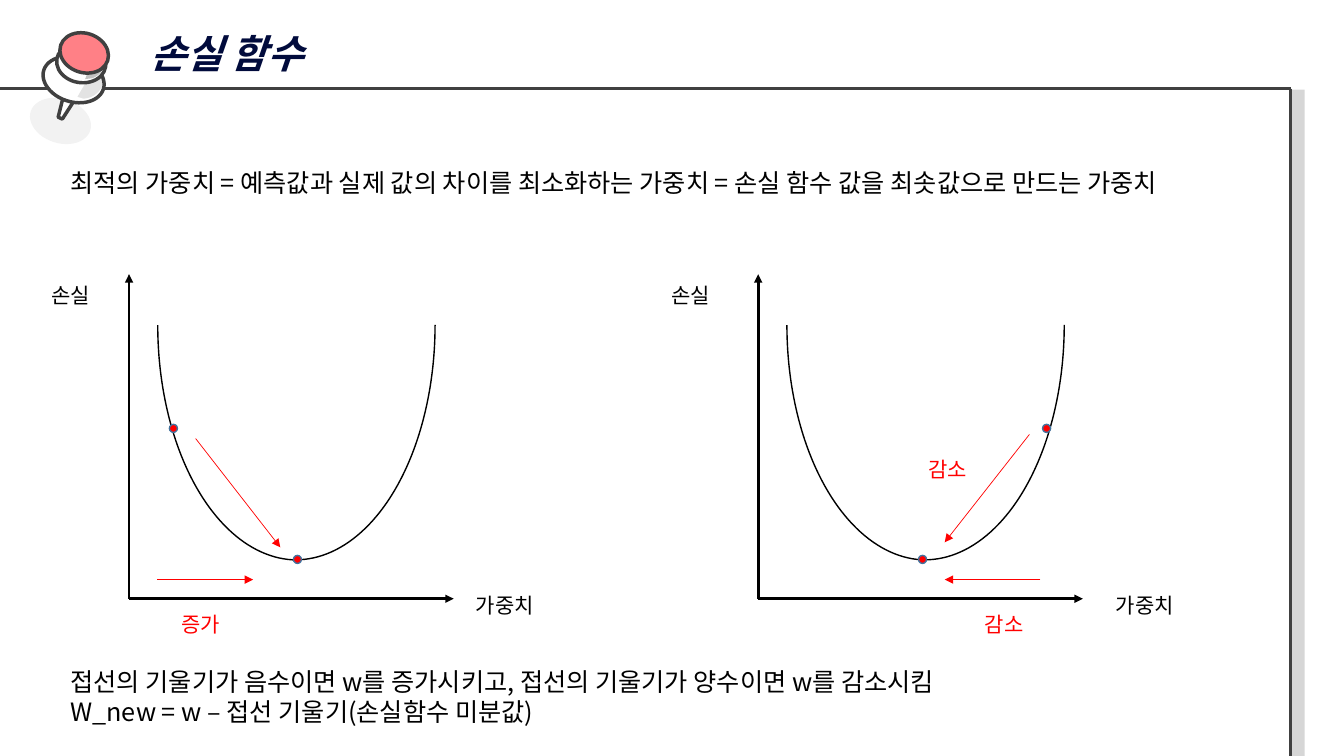
from collections import namedtuple
from lxml.etree import SubElement
from pptx import Presentation
from pptx.dml.color import RGBColor
from pptx.enum.shapes import MSO_CONNECTOR, MSO_SHAPE
from pptx.enum.text import MSO_AUTO_SIZE
from pptx.oxml.ns import qn
from pptx.util import Inches, Pt

Box = namedtuple("Box", "x y w h")
CELL = Inches(0.1)
FONT = "Noto Sans CJK KR"
COLORS = {"ink": "000000", "title": "010B3C", "rule": "404040", "paper": "FFFFFF",
          "pin": "FF8086", "red": "FF0000", "rim": "43739E"}


def rgb(name):
    """Look up a colour by name."""
    return RGBColor.from_string(COLORS[name])


def grid(box, x, y):
    """Turn cells counted from a box corner into slide lengths."""
    return round((box.x + x) * CELL), round((box.y + y) * CELL)


def paint(sp, fill=None, line=None, width=1, alpha=None):
    """Set fill, transparency and outline of a shape."""
    sp.shadow.inherit = False
    if fill:
        sp.fill.solid()
        sp.fill.fore_color.rgb = rgb(fill)
        if alpha:
            clr = next(sp._element.spPr.iter(qn("a:srgbClr")))
            SubElement(clr, qn("a:alpha")).set("val", str(alpha * 1000))
    else:
        sp.fill.background()
    if line:
        sp.line.color.rgb = rgb(line)
        sp.line.width = Pt(width)
    else:
        sp.line.fill.background()


def add_preset(shapes, kind, box, part, rotation=0, **style):
    """Add a preset shape at a part of a box."""
    x, y, w, h = part
    sp = shapes.add_shape(kind, *grid(box, x, y), round(w * CELL), round(h * CELL))
    sp.rotation = rotation
    paint(sp, **style)
    return sp


def add_line(shapes, box, start, end, color, width, arrow=False):
    """Add a straight line, with an arrowhead at its end if asked."""
    sp = shapes.add_connector(MSO_CONNECTOR.STRAIGHT, *grid(box, *start), *grid(box, *end))
    sp.line.color.rgb = rgb(color)
    sp.line.width = Pt(width)
    spPr = sp._element.spPr
    if arrow:
        SubElement(spPr.get_or_add_ln(), qn("a:tailEnd")).set("type", "triangle")
    SubElement(spPr, qn("a:effectLst"))


def add_text(shapes, box, part, text, size=15, color="ink", bold=None, spacing=None):
    """Add a text box; bold text is also italic."""
    x, y, w, h = part
    sp = shapes.add_textbox(*grid(box, x, y), round(w * CELL), round(h * CELL))
    tf = sp.text_frame
    tf.word_wrap = True
    tf.auto_size = MSO_AUTO_SIZE.SHAPE_TO_FIT_TEXT
    tf.text = text
    for p in tf.paragraphs:
        p.line_spacing = spacing
        for r in p.runs:
            r.font.size, r.font.name = Pt(size), FONT
            r.font.bold = r.font.italic = bold
            r.font.color.rgb = rgb(color)
            SubElement(r._r.get_or_add_rPr(), qn("a:ea")).set("typeface", FONT)


def bezier(a, b, c, d, steps=8):
    """Sample a cubic curve after its first point."""
    for t in (i / steps for i in range(1, steps + 1)):
        u = 1 - t
        yield tuple(u**3 * i + 3 * u * u * t * j + 3 * u * t * t * k + t**3 * m
                    for i, j, k, m in zip(a, b, c, d))


def add_shade(shapes, box, start, curves, last, rotation, alpha):
    """Add a translucent crescent with a curved outer side."""
    points, here = [curves[0]], curves[0]
    for b, c, d in curves[1:]:
        points += bezier(here, b, c, d)
        here = d
    fb = shapes.build_freeform(*grid(box, *start))
    fb.add_line_segments([grid(box, *pt) for pt in points + [last]], close=True)
    sp = fb.convert_to_shape()
    sp.rotation = rotation
    paint(sp, "ink", alpha=alpha)


def draw_frame(s, box):
    """Draw the top and right rules with the side shadow."""
    add_preset(s.shapes, MSO_SHAPE.RECTANGLE, box, (box.w, 0.1, 1.4, box.h), fill="ink", alpha=16)
    add_line(s.shapes, box, (0, 0), (box.w, 0), "rule", 2.5)
    add_line(s.shapes, box, (box.w, 0), (box.w, box.h), "rule", 2.5)


def draw_pin(s, box):
    """Draw the push pin from its ground shadow up to its head."""
    shapes = s.shapes.add_group_shape().shapes
    oval, edge = MSO_SHAPE.OVAL, {"line": "rule", "width": 2.5}
    add_preset(shapes, oval, box, (0, 6.5, 6.2, 4.4), 17.7, fill="ink", alpha=5)
    needle = add_preset(shapes, MSO_SHAPE.TRAPEZOID, box, (3, 4.2, 1.9, 4.4), 203.3, fill="paper", **edge)
    needle.adjustments[0] = 0.38
    add_preset(shapes, oval, box, (1.3, 2.4, 6.2, 4.4), 17.7, fill="paper", **edge)
    add_shade(shapes, box, (6.1, 3), [
        (6.5, 3.3), ((7.1, 3.9), (7.5, 4.7), (7.2, 5.4)),
        ((7, 6), (6.5, 6.5), (5.9, 6.7))], (5.3, 6.7), 17.7, 11)
    add_preset(shapes, oval, box, (2.7, 1, 4.9, 3.9), 9.2, fill="paper", **edge)
    add_shade(shapes, box, (6.5, 1.4), [
        (6.9, 1.8), ((7.3, 2.2), (7.5, 2.7), (7.4, 3.3)),
        ((7.3, 3.8), (7, 4.2), (6.5, 4.5))], (5.8, 4.7), 9.2, 24)
    add_preset(shapes, oval, box, (3, 0, 4.9, 3.9), 18, fill="pin", **edge)


def draw_plot(s, box, start_x, low_x, arrows, loss_x, weight_x, notes):
    """Draw axes, loss curve, descent points, arrows and labels."""
    shapes = s.shapes.add_group_shape().shapes
    for end in ((0, 0), (box.w, box.h)):
        add_line(shapes, box, (0, box.h), end, "ink", 2, True)
    long, short, mid = 46.6, 27.7, box.w / 2 + 0.4
    for rotation, shift, angles in ((90, 0, (-90, 0)), (270, 0.2, (180, -90))):
        part = (mid + shift - long / 2, 5.05 - short / 2, long, short)
        arc = add_preset(shapes, MSO_SHAPE.ARC, box, part, rotation, line="ink")
        for i, angle in enumerate(angles):
            arc.adjustments[i] = angle % 360 * 0.6
    for x, y in ((start_x, 15.3), (low_x, 28.3)):
        add_preset(s.shapes, MSO_SHAPE.OVAL, box, (x - 0.4, y - 0.4, 0.8, 0.8), fill="red", line="rim")
    for start, end in arrows:
        add_line(s.shapes, box, start, end, "red", 0.5, True)
    add_text(s.shapes, box, (loss_x, 0.3, 7, 3.5), "손실")
    add_text(s.shapes, box, (weight_x, 31.1, 8.9, 3.5), "가중치")
    for x, y, text in notes:
        add_text(s.shapes, box, (x, y, 6.8, 3.5), text, color="red")


def draw_texts(s, box):
    """Place the title, the definition and the update rule."""
    add_text(s.shapes, box, (7.9, -16, 93.5, 7.2), "손실 함수", 28, "title", True, 1.5)
    add_text(s.shapes, box, (0, 0, box.w, 4),
             "최적의 가중치 = 예측값과 실제 값의 차이를 최소화하는 가중치 = 손실 함수 값을 최솟값으로 만드는 가중치", 18)
    add_text(s.shapes, box, (0, 49.5, box.w, 7.1),
             "접선의 기울기가 음수이면 w를 증가시키고, 접선의 기울기가 양수이면 w를 감소시킴\n"
             "W_new = w – 접선 기울기(손실함수 미분값)", 18)


def main():
    """Build the slide and save it."""
    prs = Presentation()
    prs.slide_width, prs.slide_height = Inches(13.33), Inches(7.5)
    s = prs.slides.add_slide(prs.slide_layouts[6])
    draw_frame(s, Box(0, 8.8, 128, 66.2))
    draw_pin(s, Box(2.9, 3.3, 7.9, 10.9))
    draw_texts(s, Box(6, 16.1, 115.1, 56.6))
    side = 32.2
    draw_plot(s, Box(12.8, 27.2, side, side), 4.4, 16.7,
              [((6.6, 16.3), (15, 27.1)), ((2.8, 30.3), (12.3, 30.3))],
              -8.7, 33.4, [(4.2, 33, "증가")])
    draw_plot(s, Box(75.2, 27.2, side, side), 28.6, 16.3,
              [((26.9, 15.9), (18.5, 26.6)), ((28, 30.3), (18.5, 30.3))],
              -9.6, 34.5, [(15.9, 17.6, "감소"), (21.5, 33, "감소")])
    prs.save("out.pptx")


main()
